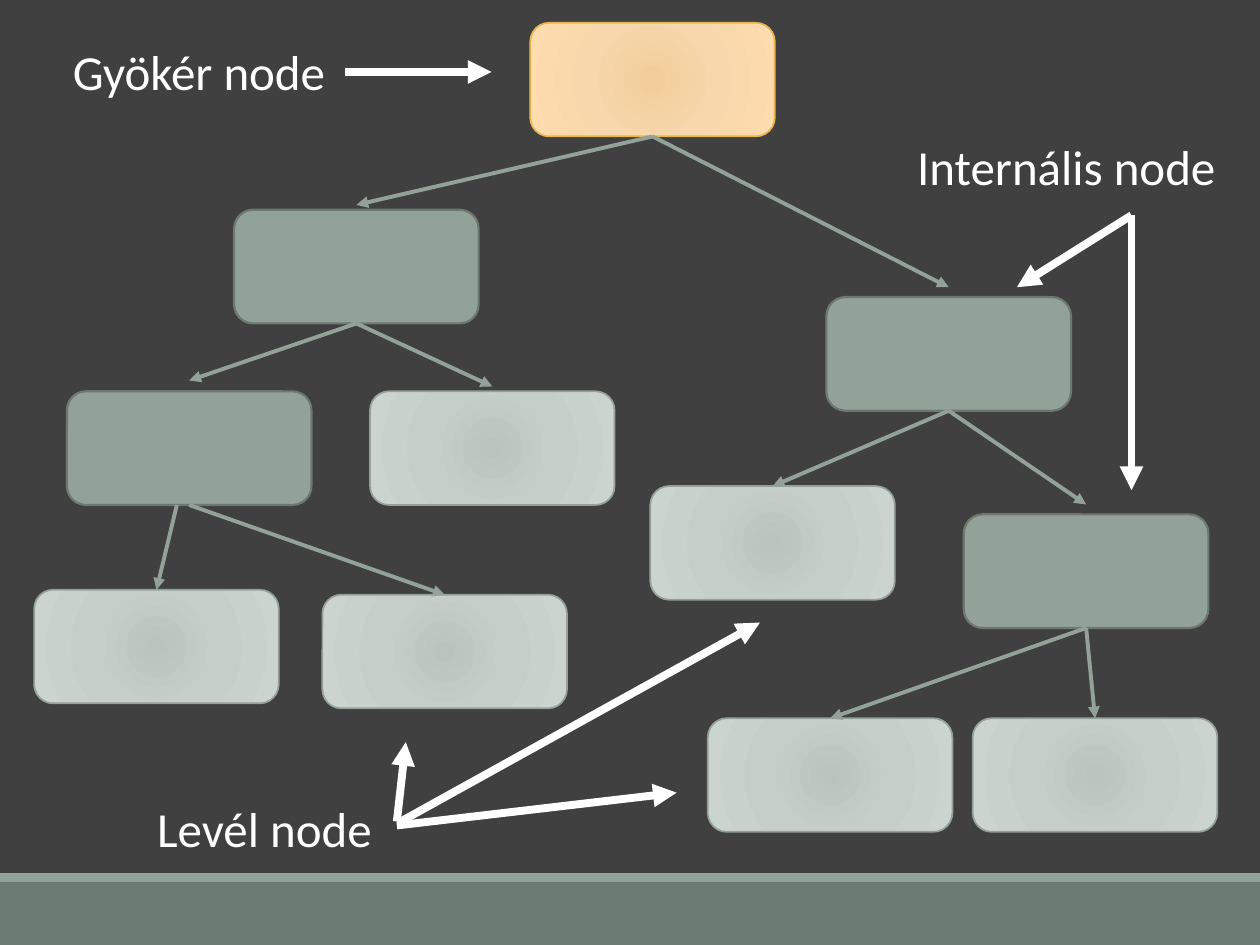
from lxml import etree
from pptx import Presentation
from pptx.dml.color import RGBColor
from pptx.enum import shapes, text
from pptx.oxml import parse_xml
from pptx.oxml.ns import nsdecls, qn
from pptx.util import Cm, Pt

COLORS = {
    "background": "404040", "footer": "6B7D72", "sage": "93A299",
    "sage_edge": "6D7871", "gold_edge": "E8B54D", "white": "FFFFFF",
}
# Kind of node: fill (one colour or centre-to-edge stops), outline, outline width
STYLES = {
    "root": (("F2CD99", "F7D7AB", "FEDCAF"), "gold_edge", 1),
    "inner": ("sage", "sage_edge", 1.25),
    "leaf": (("BAC3BE", "C6CEC9", "CCD4CF"), "sage", 1),
}
STOPS = (0, 45, 100)
NODE_W, NODE_H = 4.93, 2.29

# Node: kind, left, top (cm)
NODES = {
    "root": ("root", 10.69, 0.46),
    "L": ("inner", 4.72, 4.23),
    "R": ("inner", 16.66, 5.99),
    "LL": ("inner", 1.35, 7.89),
    "LR": ("leaf", 7.46, 7.89),
    "RL": ("leaf", 13.11, 9.8),
    "RR": ("inner", 19.43, 10.37),
    "LLL": ("leaf", 0.69, 11.89),
    "LLR": ("leaf", 6.5, 11.99),
    "RRL": ("leaf", 14.27, 14.48),
    "RRR": ("leaf", 19.61, 14.48),
}
# Parent, child, gap above the child, sideways shift of the start (cm)
EDGES = [
    ("root", "L", 0.1, 0), ("root", "R", 0.2, 0),
    ("L", "LL", 0.22, 0), ("L", "LR", 0.1, 0),
    ("LL", "LLL", 0, -0.25), ("LL", "LLR", 0, 0),
    ("R", "RL", 0, 0), ("R", "RR", 0.2, 0),
    ("RR", "RRL", 0, 0), ("RR", "RRR", 0, 0),
]
# Label, left, top, width, its arrows as (start, end)
LABELS = [
    ("Gyökér node", 1.22, 0.71, 5.77, [((6.96, 1.45), (9.91, 1.45))]),
    ("Internális node", 18.24, 2.62, 7.32,
     [((22.81, 4.34), (20.5, 5.79)), ((22.81, 4.34), (22.81, 9.88))]),
    ("Levél node", 2.92, 15.98, 7.32,
     [((8, 16.56), (8.18, 14.96)), ((8.08, 16.56), (15.32, 12.55)),
      ((8, 16.64), (13.64, 15.98))]),
]
LABEL_H = 1.45
# Footer bands: colour, top, height
BANDS = [("footer", 17.78, 1.27), ("sage", 17.6, 0.18)]


def rgb(name):
    return RGBColor.from_string(COLORS[name])


def add_block(slide, preset, left, top, width, height):
    block = slide.shapes.add_shape(preset, Cm(left), Cm(top), Cm(width), Cm(height))
    block.shadow.inherit = False
    return block


def fill_radial(shape, stops):
    stop_xml = "".join(
        f'<a:gs pos="{pos * 1000}"><a:srgbClr val="{color}"/></a:gs>'
        for pos, color in zip(STOPS, stops))
    gradient = parse_xml(
        f'<a:gradFill {nsdecls("a")} rotWithShape="1"><a:gsLst>{stop_xml}</a:gsLst>'
        '<a:path path="circle"><a:fillToRect l="100000" t="100000" r="100000" '
        'b="100000"/></a:path></a:gradFill>')
    shape._element.spPr.find(qn("a:prstGeom")).addnext(gradient)


def add_node(slide, kind, left, top):
    fill, edge, width = STYLES[kind]
    node = add_block(slide, shapes.MSO_SHAPE.ROUNDED_RECTANGLE, left, top, NODE_W, NODE_H)
    if isinstance(fill, tuple):
        fill_radial(node, fill)
    else:
        node.fill.solid()
        node.fill.fore_color.rgb = rgb(fill)
    node.line.color.rgb = rgb(edge)
    node.line.width = Pt(width)
    return node


def add_arrow(slide, start, end, color, width):
    arrow = slide.shapes.add_connector(
        shapes.MSO_CONNECTOR.STRAIGHT, *(Cm(v) for v in (*start, *end)))
    arrow.line.color.rgb = rgb(color)
    arrow.line.width = Pt(width)
    etree.SubElement(arrow.line._get_or_add_ln(), qn("a:tailEnd"), type="triangle")
    etree.SubElement(arrow._element.spPr, qn("a:effectLst"))
    return arrow


def add_label(slide, words, left, top, width):
    label = slide.shapes.add_textbox(Cm(left), Cm(top), Cm(width), Cm(LABEL_H))
    frame = label.text_frame
    frame.word_wrap = True
    frame.auto_size = text.MSO_AUTO_SIZE.SHAPE_TO_FIT_TEXT
    frame.text = words
    font = frame.paragraphs[0].runs[0].font
    font.name, font.size, font.color.rgb = "Calibri", Pt(28), rgb("white")


def main():
    prs = Presentation()
    prs.slide_width, prs.slide_height = Cm(25.4), Cm(19.05)
    slide = prs.slides.add_slide(prs.slide_layouts[6])
    slide.background.fill.solid()
    slide.background.fill.fore_color.rgb = rgb("background")

    # Footer
    for color, top, height in BANDS:
        band = add_block(slide, shapes.MSO_SHAPE.RECTANGLE, 0, top, 25.4, height)
        band.fill.solid()
        band.fill.fore_color.rgb = rgb(color)
        band.line.fill.background()

    # Tree nodes and the edges between them
    nodes = {key: add_node(slide, *spec_row) for key, spec_row in NODES.items()}
    for parent, child, gap, shift in EDGES:
        _, parent_left, parent_top = NODES[parent]
        _, child_left, child_top = NODES[child]
        start = (parent_left + NODE_W / 2 + shift, parent_top + NODE_H)
        end = (child_left + NODE_W / 2, child_top - gap)
        edge = add_arrow(slide, start, end, "sage", 2.25)
        if not shift:
            edge.begin_connect(nodes[parent], 2)
        if not gap:
            edge.end_connect(nodes[child], 0)

    # Labels with their pointers
    for words, left, top, width, pointers in LABELS:
        add_label(slide, words, left, top, width)
        for start, end in pointers:
            add_arrow(slide, start, end, "white", 4.5)

    prs.save("out.pptx")


if __name__ == "__main__":
    main()
